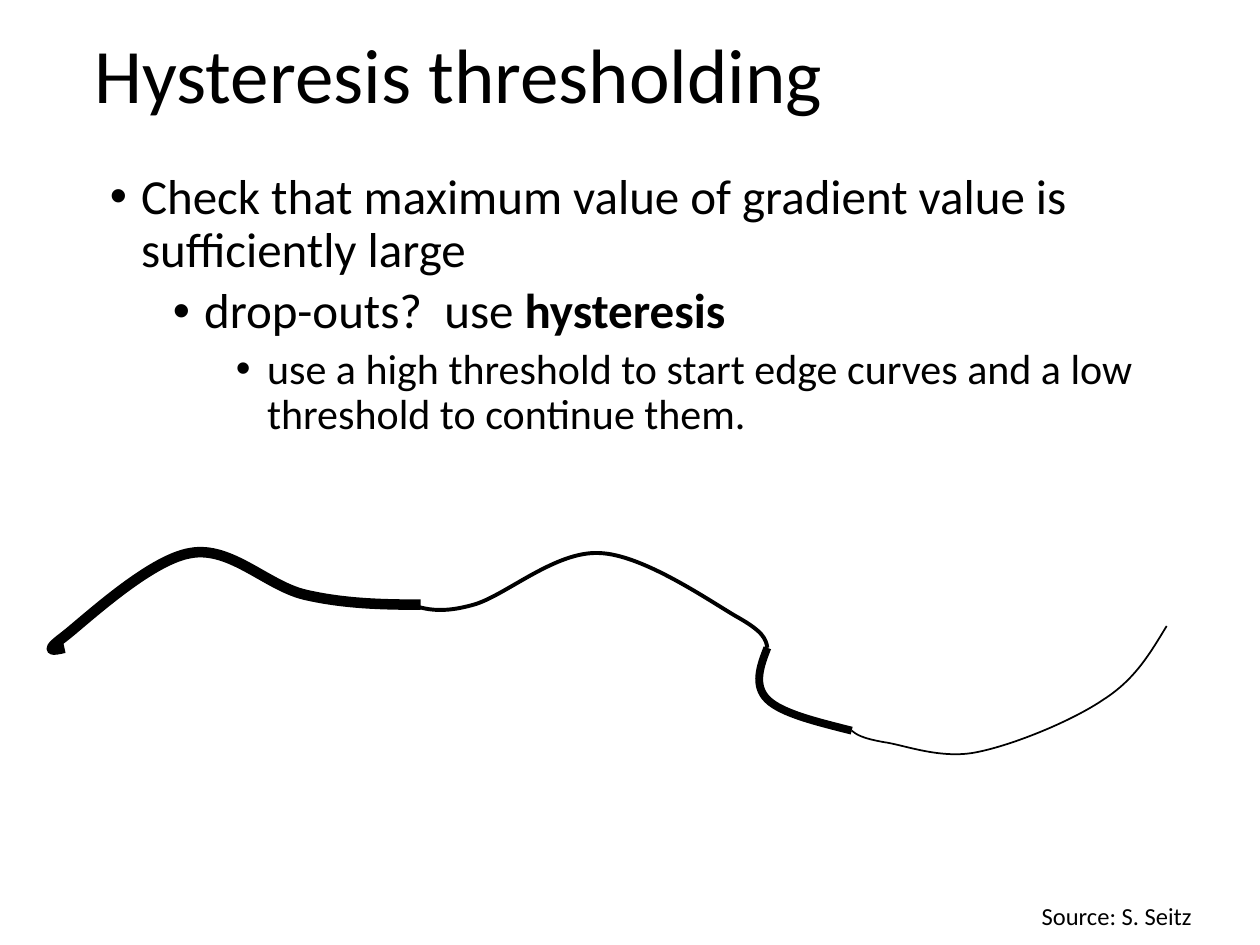
from dataclasses import dataclass

from lxml.etree import SubElement
from pptx import Presentation
from pptx.dml.color import RGBColor
from pptx.enum.text import MSO_ANCHOR, MSO_AUTO_SIZE, PP_ALIGN
from pptx.oxml.ns import qn
from pptx.util import Cm, Pt

BLACK = RGBColor(0x00, 0x00, 0x00)
FONT_NAME = "Calibri"

Point = tuple[float, float]


@dataclass(frozen=True)
class Bullet:
    level: int
    size: int
    space_before: int
    text: str
    bold_ending: str = ""


@dataclass(frozen=True)
class EdgeCurve:
    width: float
    points: list[Point]


BULLETS = [
    Bullet(0, 28, 0, "Check that maximum value of gradient value is sufficiently large"),
    Bullet(1, 28, 5, "drop-outs?  use ", "hysteresis"),
    Bullet(2, 24, 5, "use a high threshold to start edge curves and a low threshold to continue them."),
]

EDGE_CURVES = [
    EdgeCurve(6, [
        (1.3, 13.06),
        (1.07, 13.11), (0.86, 13.16), (1.3, 12.83),
        (1.7, 12.52), (3.02, 11.28), (3.84, 11.15),
        (4.65, 11), (5.38, 11.81), (6.15, 11.99),
        (6.93, 12.17), (7.7, 12.19), (8.48, 12.19),
    ]),
    EdgeCurve(2.25, [
        (8.28, 12.19),
        (8.59, 12.29), (8.92, 12.37), (9.55, 12.19),
        (10.19, 12.01), (11.2, 11.1), (12.09, 11.15),
        (12.95, 11.18), (14.27, 12.09), (14.83, 12.42),
        (15.39, 12.73), (15.44, 12.88), (15.47, 13.06),
    ]),
    EdgeCurve(4.5, [
        (15.47, 13.06),
        (15.32, 13.44), (15.19, 13.82), (15.47, 14.1),
        (15.75, 14.38), (16.46, 14.55), (17.17, 14.73),
    ]),
    EdgeCurve(1, [
        (17.17, 14.73),
        (17.27, 14.81), (17.37, 14.88), (17.81, 14.96),
        (18.21, 15.01), (18.97, 15.32), (19.71, 15.16),
        (20.45, 15.01), (21.62, 14.53), (22.25, 14.1),
        (22.89, 13.69), (23.19, 13.16), (23.52, 12.62),
    ]),
]


def place(box, left: float, top: float, width: float, height: float) -> None:
    box.left, box.top, box.width, box.height = Cm(left), Cm(top), Cm(width), Cm(height)


def format_span(span, size: float, bold: bool = False) -> None:
    span.font.name = FONT_NAME
    span.font.size = Pt(size)
    span.font.bold = bold
    span.font.color.rgb = BLACK


def write_title(title) -> None:
    place(title, 1.65, 0, 21.59, 3.18)
    frame = title.text_frame
    frame.text = "Hysteresis thresholding"
    frame.auto_size = MSO_AUTO_SIZE.NONE
    frame.vertical_anchor = MSO_ANCHOR.MIDDLE
    para = frame.paragraphs[0]
    para.alignment = PP_ALIGN.LEFT
    para.line_spacing = 0.9
    format_span(para.runs[0], 44)


def write_bullet(para, bullet: Bullet) -> None:
    para.text = bullet.text
    para.level = bullet.level
    properties = para._p.get_or_add_pPr()
    properties.set("marL", str(Cm(0.63 + 1.27 * bullet.level)))
    properties.set("indent", str(Cm(-0.63)))
    SubElement(properties, qn("a:buFont")).set("typeface", "Arial")
    SubElement(properties, qn("a:buChar")).set("char", "•")
    para.line_spacing = 0.9
    para.space_before = Pt(bullet.space_before)
    format_span(para.runs[0], bullet.size)
    if bullet.bold_ending:
        span = para.add_run()
        span.text = bullet.bold_ending
        format_span(span, bullet.size, bold=True)


def write_body(body) -> None:
    place(body, 1.96, 3.34, 21.59, 11.43)
    frame = body.text_frame
    frame.auto_size = MSO_AUTO_SIZE.NONE
    for index, bullet in enumerate(BULLETS):
        para = frame.add_paragraph() if index else frame.paragraphs[0]
        write_bullet(para, bullet)


def bend_segments(shape) -> None:
    path = next(shape._element.iter(qn("a:path")))
    segments = path.findall(qn("a:lnTo"))
    for first in range(0, len(segments), 3):
        bezier = SubElement(path, qn("a:cubicBezTo"))
        for segment in segments[first:first + 3]:
            bezier.append(segment[0])
            path.remove(segment)


def draw_curve(page, curve: EdgeCurve) -> None:
    start, *vertices = [(Cm(x), Cm(y)) for x, y in curve.points]
    builder = page.shapes.build_freeform(*start)
    builder.add_line_segments(vertices, close=False)
    shape = builder.convert_to_shape()
    bend_segments(shape)
    shape.shadow.inherit = False
    shape.fill.background()
    shape.line.color.rgb = BLACK
    shape.line.width = Pt(curve.width)


def write_source(page) -> None:
    box = page.shapes.add_textbox(Cm(20.75), Cm(18.03), Cm(4.65), Cm(0.86))
    frame = box.text_frame
    frame.word_wrap = True
    frame.text = "Source: S. Seitz"
    format_span(frame.paragraphs[0].runs[0], 14)


def main() -> None:
    deck = Presentation()
    deck.slide_width, deck.slide_height = Cm(25.4), Cm(19.05)
    page = deck.slides.add_slide(deck.slide_layouts[1])
    write_title(page.shapes.title)
    write_body(page.placeholders[1])
    for curve in EDGE_CURVES:
        draw_curve(page, curve)
    write_source(page)
    deck.save("out.pptx")


if __name__ == "__main__":
    main()
